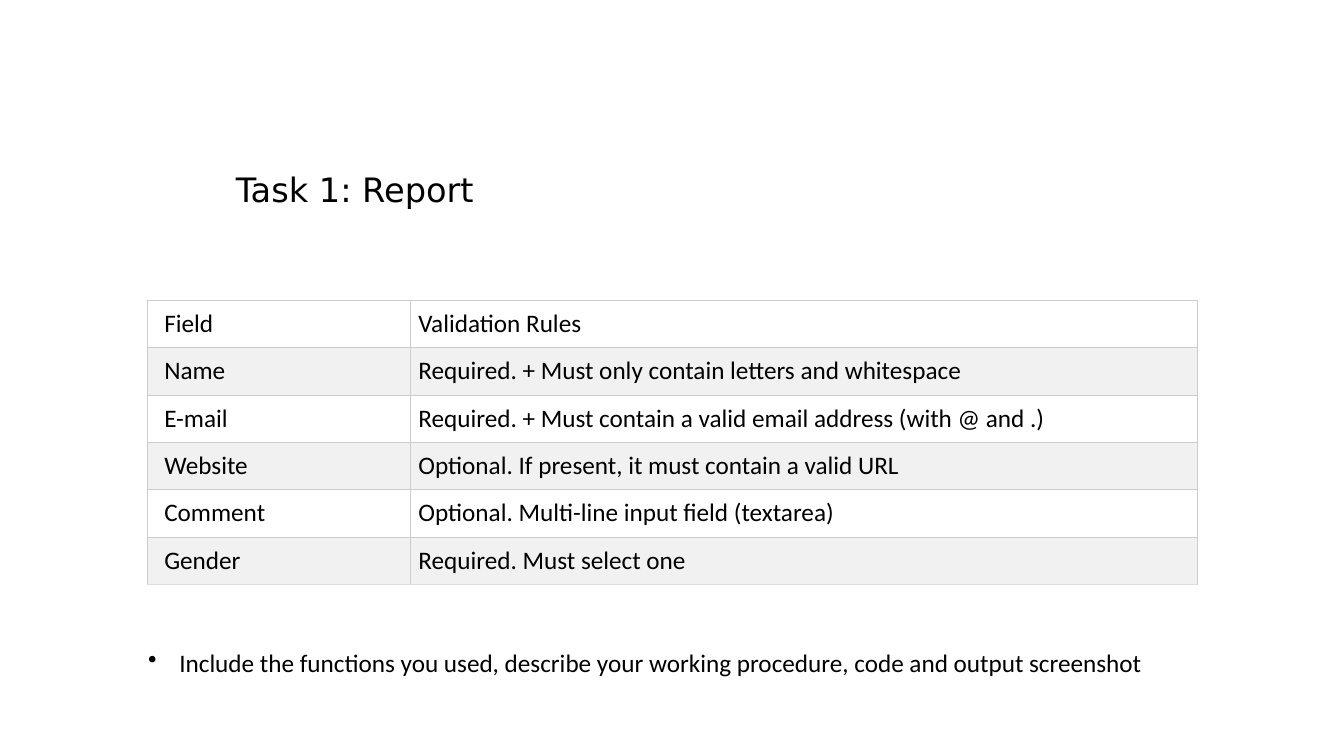
from typing import NamedTuple

from lxml.etree import SubElement
from pptx import Presentation
from pptx.dml.color import RGBColor
from pptx.enum.text import MSO_ANCHOR, MSO_AUTO_SIZE
from pptx.oxml import parse_xml
from pptx.oxml.ns import nsdecls, qn
from pptx.util import Inches, Pt


class Rule(NamedTuple):
    field: str
    validation: str


class Label(NamedTuple):
    text: str
    left: float
    top: float
    width: float
    height: float
    font: str
    size: int
    anchor: MSO_ANCHOR = MSO_ANCHOR.TOP
    bullet: str = ""


RULES = [
    Rule("Field", "Validation Rules"),
    Rule("Name", "Required. + Must only contain letters and whitespace"),
    Rule("E-mail", "Required. + Must contain a valid email address (with @ and .)"),
    Rule("Website", "Optional. If present, it must contain a valid URL"),
    Rule("Comment", "Optional. Multi-line input field (textarea)"),
    Rule("Gender", "Required. Must select one"),
]
LABELS = [
    Label("Task 1: Report", 2.24, 1.63, 2.67, 0.5, "DejaVu Sans", 24, MSO_ANCHOR.MIDDLE),
    Label("Include the functions you used, describe your working procedure, "
          "code and output screenshot",
          1.37, 6.37, 10.11, 0.4, "Calibri", 18, bullet="•"),
]
COLUMN_WIDTHS = (2.61, 7.81)
LEFT_MARGINS = (0.17, 0.08)
ROW_HEIGHT = 0.47
ROW_FILLS = ("FFFFFF", "F1F1F1")
BORDER, LAST_BORDER = "CCCCCC", "DDDDDD"


def color(value: str) -> RGBColor:
    return RGBColor.from_string(value)


def style_font(para, name: str, size: int) -> None:
    para.font.name = name
    para.font.size = Pt(size)
    para.font.color.rgb = color("000000")


def set_borders(cell, bottom: str) -> None:
    properties = cell._tc.get_or_add_tcPr()
    sides = (("L", BORDER), ("R", BORDER), ("T", BORDER), ("B", bottom))
    for index, (side, value) in enumerate(sides):
        properties.insert(index, parse_xml(
            f'<a:ln{side} {nsdecls("a")} w="{Pt(0.75)}"><a:solidFill>'
            f'<a:srgbClr val="{value}"/></a:solidFill></a:ln{side}>'))


def add_rules_table(page, rules: list[Rule]) -> None:
    table = page.shapes.add_table(
        len(rules), len(COLUMN_WIDTHS), Inches(1.46), Inches(2.98),
        Inches(sum(COLUMN_WIDTHS)), Inches(ROW_HEIGHT * len(rules))).table
    table.first_row = table.horz_banding = False
    for column, width in zip(table.columns, COLUMN_WIDTHS):
        column.width = Inches(width)
    for row_index, rule in enumerate(rules):
        table.rows[row_index].height = Inches(ROW_HEIGHT)
        bottom = LAST_BORDER if rule is rules[-1] else BORDER
        for column_index, text in enumerate(rule):
            cell = table.cell(row_index, column_index)
            cell.text = text
            cell.margin_left = Inches(LEFT_MARGINS[column_index])
            cell.margin_right = cell.margin_top = cell.margin_bottom = Inches(0.08)
            cell.fill.solid()
            cell.fill.fore_color.rgb = color(ROW_FILLS[row_index % 2])
            set_borders(cell, bottom)
            style_font(cell.text_frame.paragraphs[0], "Calibri", 18)


def add_label(page, label: Label) -> None:
    box = page.shapes.add_textbox(Inches(label.left), Inches(label.top),
                                  Inches(label.width), Inches(label.height))
    frame = box.text_frame
    frame.word_wrap = False
    frame.auto_size = MSO_AUTO_SIZE.SHAPE_TO_FIT_TEXT
    frame.vertical_anchor = label.anchor
    para = frame.paragraphs[0]
    para.text = label.text
    style_font(para, label.font, label.size)
    if label.bullet:
        properties = para._p.get_or_add_pPr()
        properties.set("marL", str(Inches(0.31)))
        properties.set("indent", str(Inches(-0.31)))
        mark = SubElement(properties, qn("a:buChar"), char=label.bullet)
        properties.insert(0, mark)  # the bullet precedes the font defaults


def main() -> None:
    deck = Presentation()
    deck.slide_width, deck.slide_height = Inches(13.33), Inches(7.5)
    page = deck.slides.add_slide(deck.slide_layouts[6])
    # Validation table
    add_rules_table(page, RULES)
    # Title and instruction
    for label in LABELS:
        add_label(page, label)
    deck.save("out.pptx")


if __name__ == "__main__":
    main()
